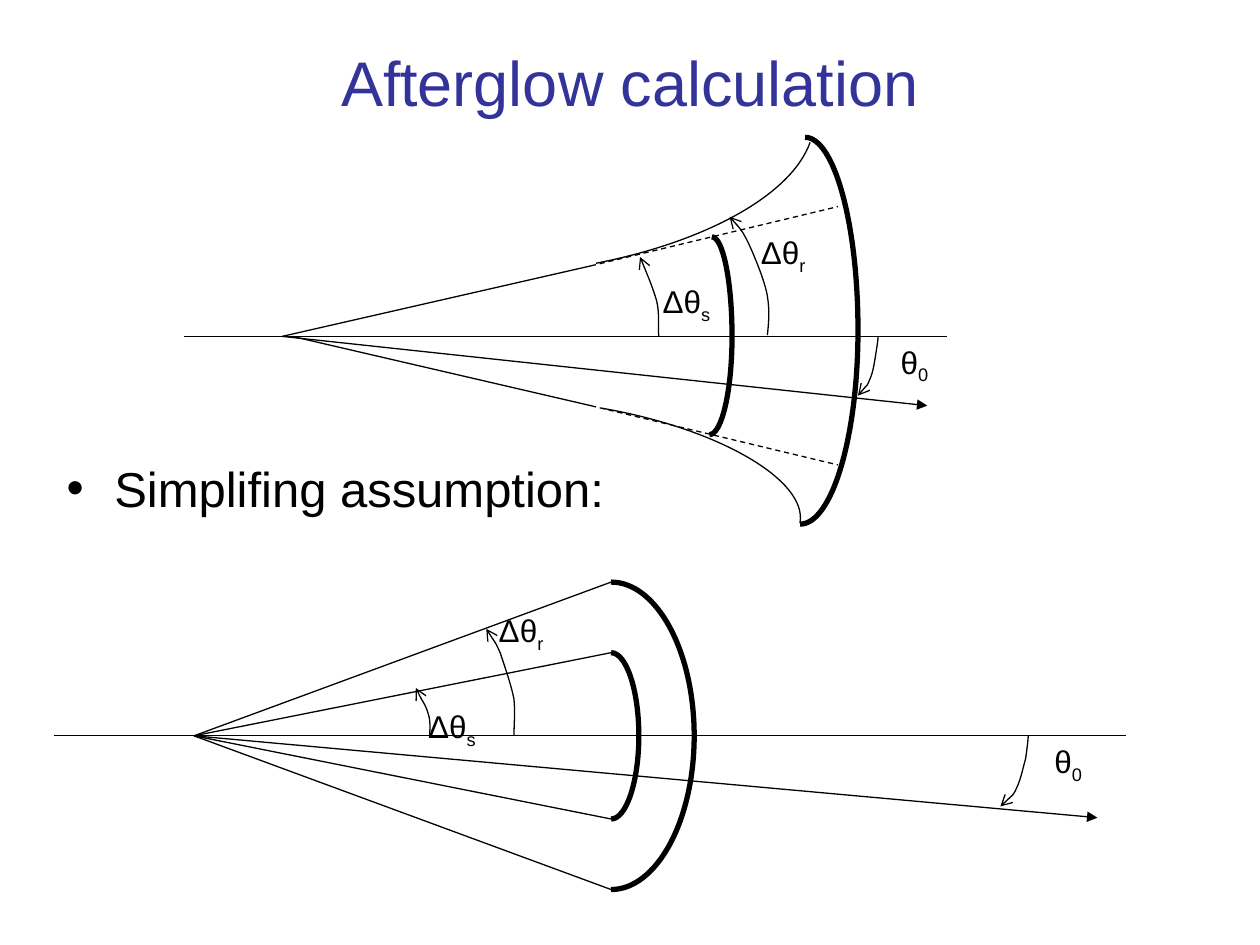
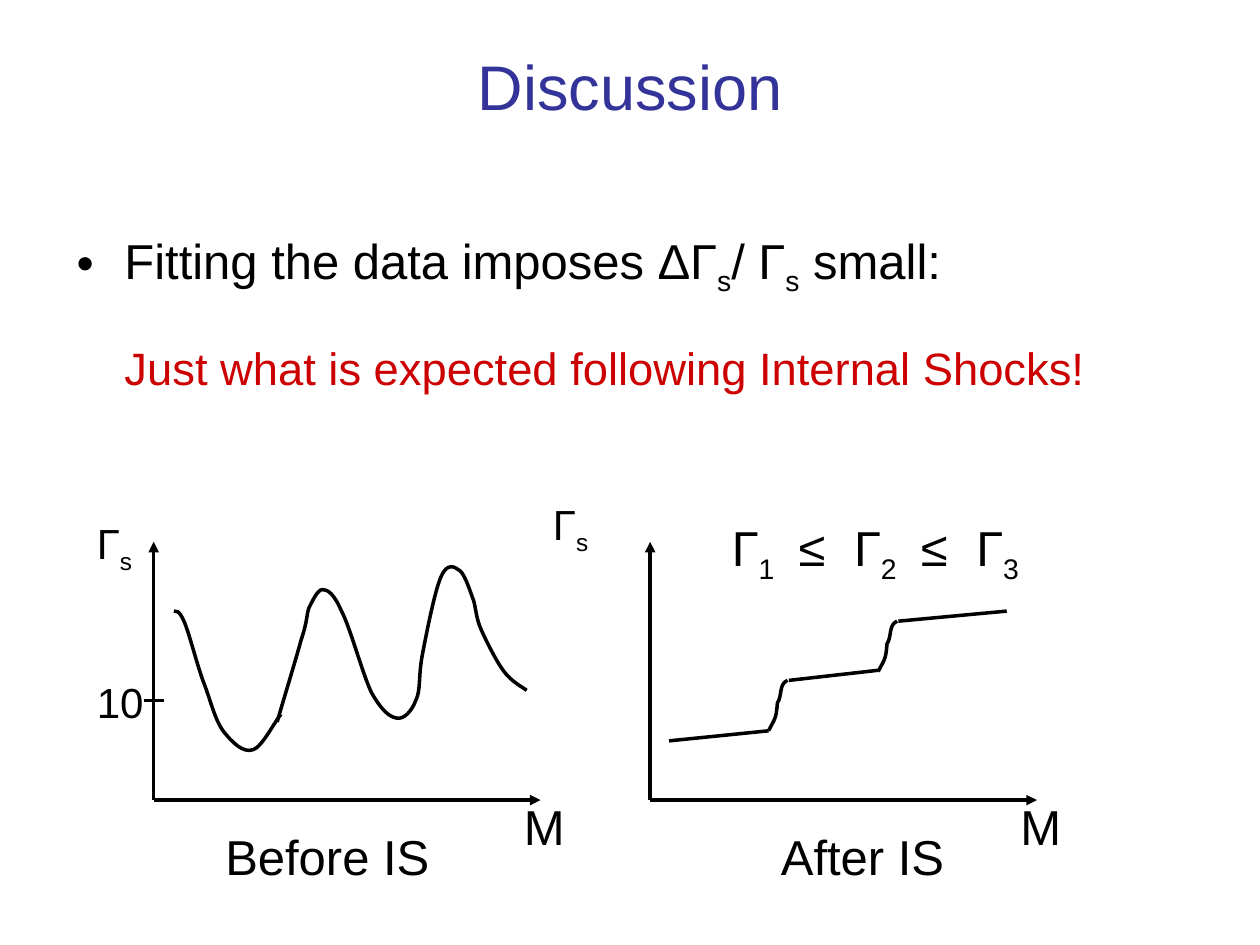
from dataclasses import dataclass

from pptx import Presentation
from pptx import util as u
from pptx.dml.color import RGBColor
from pptx.enum import dml, shapes, text
from pptx.oxml.ns import qn
from pptx.oxml.xmlchemy import OxmlElement


@dataclass(frozen=True)
class Theme:
    """Colours, type sizes and line weights shared by the slides."""
    font: str = "Arial"
    title: str = "333399"
    ink: str = "000000"
    accent: str = "CC0000"
    title_size: float = 36
    body_size: float = 28
    remark_size: float = 25.9
    axis_size: float = 24
    angle_size: float = 18
    thin: float = 0.75
    plot: float = 2
    shell: float = 3


T = Theme()
TRIANGLE, OPEN = "triangle", "arrow"
INDENT = 0.38


def add_element(parent, tag, **attrs):
    """Append a DrawingML element with the given attributes."""
    el = OxmlElement(tag)
    for name, value in attrs.items():
        el.set(name, str(value))
    parent.append(el)
    return el


def style_font(p, size, color):
    """Set the type of a whole paragraph."""
    p.font.name = T.font
    p.font.size = u.Pt(size)
    p.font.color.rgb = RGBColor.from_string(color)


def style_line(sp, width, tail=None, dashed=False):
    """Give a connector or curve its line, arrowhead and dash."""
    sp.line.color.rgb = RGBColor.from_string(T.ink)
    sp.line.width = u.Pt(width)
    if dashed:
        sp.line.dash_style = dml.MSO_LINE.DASH
    if tail:
        ln = sp.element.spPr.find(qn("a:ln"))
        add_element(ln, "a:tailEnd", type=tail, w="med", len="med")


def add_titled_slide(prs, title, top, height):
    """Add a title-only slide with a centred title."""
    s = prs.slides.add_slide(prs.slide_layouts[5])
    sp = s.shapes.title
    sp.left, sp.top, sp.width, sp.height = map(u.Inches, (0.5, top, 9, height))
    tf = sp.text_frame
    tf.text = title
    tf.auto_size = text.MSO_AUTO_SIZE.NONE
    tf.vertical_anchor = text.MSO_ANCHOR.MIDDLE
    p = tf.paragraphs[0]
    p.alignment = text.PP_ALIGN.CENTER
    style_font(p, T.title_size, T.title)
    return s


def add_text(s, box, parts, size, color=T.ink, bullet=False, indent=0, tabs=()):
    """Add a one-paragraph box; every second part is a subscript."""
    tf = s.shapes.add_textbox(*map(u.Inches, box)).text_frame
    tf.word_wrap = True
    p = tf.paragraphs[0]
    for i, part in enumerate(parts):
        r = p.add_run()
        r.text = part
        if i % 2:
            r._r.get_or_add_rPr().set("baseline", "-25000")
    pPr = p._p.get_or_add_pPr()
    if indent:
        pPr.set("marL", str(u.Inches(indent)))
    if bullet:
        pPr.set("indent", str(u.Inches(-indent)))
        add_element(pPr, "a:buFont", typeface=T.font)
        add_element(pPr, "a:buChar", char="•")
    if tabs:
        stops = add_element(pPr, "a:tabLst")
        for pos in tabs:
            add_element(stops, "a:tab", pos=u.Inches(pos), algn="l")
    style_font(p, size, color)


def add_line(s, start, end, width=T.thin, tail=None, dashed=False):
    """Draw a straight line between two points."""
    sp = s.shapes.add_connector(shapes.MSO_CONNECTOR.STRAIGHT,
                                *map(u.Inches, (*start, *end)))
    style_line(sp, width, tail, dashed)
    add_element(sp.element.spPr, "a:effectLst")


def add_curve(s, points, width=T.thin, tail=None):
    """Draw a Bézier curve: a start, then two controls and an end per segment."""
    start, *rest = [tuple(map(u.Inches, pt)) for pt in points]
    fb = s.shapes.build_freeform(*start)
    fb.add_line_segments(rest, close=False)
    sp = fb.convert_to_shape()
    segments = list(sp.element.iter(qn("a:lnTo")))
    for i in range(0, len(segments), 3):
        bezier = OxmlElement("a:cubicBezTo")
        segments[i].addprevious(bezier)
        for segment in segments[i:i + 3]:
            bezier.append(segment[0])
            segment.getparent().remove(segment)
    sp.fill.background()
    sp.shadow.inherit = False
    style_line(sp, width, tail)


def add_shell(s, top, tip, bottom):
    """Draw a thick half ellipse from top to bottom through its tip."""
    k = 0.55
    (tx, ty), (x, y), (bx, by) = top, tip, bottom
    add_curve(s, [top, (tx + k * (x - tx), ty), (x, y + k * (ty - y)), tip,
                  (x, y + k * (by - y)), (bx + k * (x - bx), by), bottom], T.shell)


def add_angle(s, arc, symbol, sub, at):
    """Draw an angle arc with an open arrowhead and its label."""
    add_curve(s, arc, tail=OPEN)
    add_text(s, (*at, 0.88, 0.44), (symbol, sub), T.angle_size)


def add_spreading_jet(s):
    """Draw the jet whose edges flare outwards."""
    apex = (2.24, 2.67)
    add_line(s, apex, (4.69, 2.11))
    add_line(s, (2.32, 2.67), (4.69, 3.22))
    add_line(s, apex, (7.36, 3.22), tail=TRIANGLE)
    add_line(s, (1.46, 2.67), (7.52, 2.67))
    add_line(s, (4.69, 2.11), (6.65, 1.64), dashed=True)
    add_line(s, (4.69, 3.22), (6.65, 3.69), dashed=True)
    add_curve(s, [(4.73, 2.09), (5.6, 1.92), (6.28, 1.55), (6.43, 1.13)])
    add_curve(s, [(4.78, 3.24), (5.7, 3.4), (6.41, 3.81), (6.35, 4.15)])
    add_shell(s, (5.65, 1.88), (5.81, 2.67), (5.63, 3.45))
    add_shell(s, (6.39, 1.09), (6.81, 2.62), (6.35, 4.16))
    add_angle(s, [(6.97, 2.67), (6.97, 2.69), (6.96, 2.76), (6.95, 2.82),
                  (6.94, 2.88), (6.93, 2.96), (6.9, 3.02),
                  (6.88, 3.07), (6.83, 3.11), (6.81, 3.14)], "θ", "0", (7.05, 2.67))
    add_angle(s, [(5.23, 2.67), (5.22, 2.62), (5.24, 2.49), (5.21, 2.38),
                  (5.18, 2.28), (5.11, 2.11), (5.08, 2.04)], "Δθ", "s", (5.16, 2.19))
    add_angle(s, [(6.09, 2.66), (6.1, 2.57), (6.11, 2.47), (6.09, 2.35),
                  (6.07, 2.23), (5.99, 2.04), (5.94, 1.93),
                  (5.89, 1.83), (5.84, 1.77), (5.79, 1.72)], "Δθ", "r", (5.94, 1.8))


def add_conical_jet(s):
    """Draw the simplified jet with two straight cones."""
    axis = 5.84
    apex = (1.54, axis)
    for half, tip in ((1.22, 5.51), (0.66, 5.07)):
        top, bottom = (4.85, axis - half), (4.85, axis + half)
        add_line(s, apex, top)
        add_line(s, apex, bottom)
        add_shell(s, top, (tip, axis), bottom)
    add_line(s, apex, (8.71, 6.49), tail=TRIANGLE)
    add_line(s, (0.43, axis), (8.94, axis))
    add_angle(s, [(8.16, axis), (8.16, 5.87), (8.15, 5.95), (8.14, 6.02),
                  (8.12, 6.09), (8.1, 6.19), (8.07, 6.25),
                  (8.04, 6.32), (7.97, 6.37), (7.94, 6.4)], "θ", "0", (8.27, axis))
    add_angle(s, [(3.41, axis), (3.41, 5.81), (3.42, 5.73), (3.4, 5.67),
                  (3.38, 5.6), (3.32, 5.51), (3.3, 5.46)], "Δθ", "s", (3.3, 5.56))
    add_angle(s, [(4.08, axis), (4.08, 5.75), (4.09, 5.66), (4.08, 5.55),
                  (4.06, 5.44), (4, 5.27), (3.97, 5.18),
                  (3.93, 5.09), (3.89, 5.04), (3.86, 4.99)], "Δθ", "r", (3.86, 4.8))


def add_axes(s, left, label_at, caption, caption_left):
    """Draw a Γ against M pair of axes with a caption below."""
    origin = (left, 6.35)
    add_line(s, origin, (left, 4.3), T.plot, TRIANGLE)
    add_line(s, origin, (left + 3.07, 6.35), T.plot, TRIANGLE)
    add_text(s, (*label_at, 0.8, 0.56), ("Γ", "s"), T.axis_size)
    add_text(s, (left + 2.84, 6.27, 0.55, 0.57), ("M",), T.body_size)
    add_text(s, (caption_left, 6.51, 1.97, 0.57), (caption,), T.body_size)


def add_before_plot(s):
    """Draw the oscillating profile before internal shocks."""
    add_axes(s, 1.22, (0.67, 4.06), "Before IS", 1.69)
    add_line(s, (1.14, 5.56), (1.3, 5.56), T.plot)
    add_text(s, (0.67, 5.32, 0.63, 0.5), ("10",), T.axis_size)
    add_curve(s, [(1.38, 4.85), (1.4, 4.85), (1.42, 4.84), (1.46, 4.93),
                  (1.5, 5.02), (1.56, 5.26), (1.61, 5.4),
                  (1.67, 5.55), (1.7, 5.7), (1.77, 5.8),
                  (1.84, 5.89), (1.93, 5.98), (2.01, 5.95),
                  (2.08, 5.93), (2.19, 5.71), (2.23, 5.67)], T.plot)
    add_curve(s, [(2.2, 5.73), (2.23, 5.62), (2.35, 5.23), (2.39, 5.08),
                  (2.44, 4.93), (2.43, 4.9), (2.45, 4.83),
                  (2.48, 4.77), (2.52, 4.68), (2.56, 4.68),
                  (2.6, 4.68), (2.65, 4.71), (2.71, 4.85),
                  (2.78, 4.98), (2.88, 5.36), (2.95, 5.5),
                  (3.03, 5.64), (3.09, 5.69), (3.15, 5.7),
                  (3.21, 5.71), (3.27, 5.64), (3.3, 5.56),
                  (3.34, 5.48), (3.32, 5.38), (3.35, 5.21),
                  (3.38, 5.05), (3.45, 4.69), (3.5, 4.58),
                  (3.55, 4.46), (3.61, 4.5), (3.65, 4.53),
                  (3.69, 4.56), (3.73, 4.69), (3.76, 4.77),
                  (3.78, 4.85), (3.78, 4.91), (3.82, 5),
                  (3.86, 5.09), (3.94, 5.25), (4, 5.33),
                  (4.06, 5.41), (4.14, 5.45), (4.18, 5.48)], T.plot)


def add_after_plot(s):
    """Draw the rising staircase after internal shocks."""
    add_axes(s, 5.16, (4.29, 3.91), "After IS", 6.1)
    add_text(s, (5.71, 4.06, 3.23, 0.63),
             ("Γ", "1", "\t≤\tΓ", "2", "\t≤\tΓ", "3"), T.body_size,
             tabs=(0.53, 0.97, 1.5, 1.94))
    for x, end, y in ((5.31, 6.1, 5.88), (6.26, 6.97, 5.4), (7.13, 7.99, 4.93)):
        add_line(s, (x, y), (end, y - 0.08), T.plot)
    for x, y in ((6.1, 5.8), (6.97, 5.33)):
        add_curve(s, [(x + 0.15, y - 0.4), (x + 0.08, y - 0.37),
                      (x + 0.11, y - 0.28), (x + 0.07, y - 0.22),
                      (x + 0.06, y - 0.09), (x + 0.05, y - 0.1), (x, y)], T.plot)


def main():
    """Build both slides and save them."""
    prs = Presentation()
    prs.slide_width, prs.slide_height = u.Inches(10), u.Inches(7.5)

    s = add_titled_slide(prs, "Afterglow calculation", 0.3, 0.69)
    add_text(s, (0.43, 3.59, 4.57, 0.79), ("Simplifing assumption:",),
             T.body_size, bullet=True, indent=INDENT)
    add_conical_jet(s)
    add_spreading_jet(s)

    s = add_titled_slide(prs, "Discussion", 0.28, 0.79)
    add_text(s, (0.51, 1.78, 9, 0.63),
             ("Fitting the data imposes ΔΓ", "s", "/ Γ", "s", " small:"),
             T.body_size, bullet=True, indent=INDENT)
    add_text(s, (0.51, 2.65, 9, 0.55),
             ("Just what is expected following Internal Shocks!",),
             T.remark_size, T.accent, indent=INDENT)
    add_before_plot(s)
    add_after_plot(s)

    prs.save("out.pptx")


if __name__ == "__main__":
    main()
